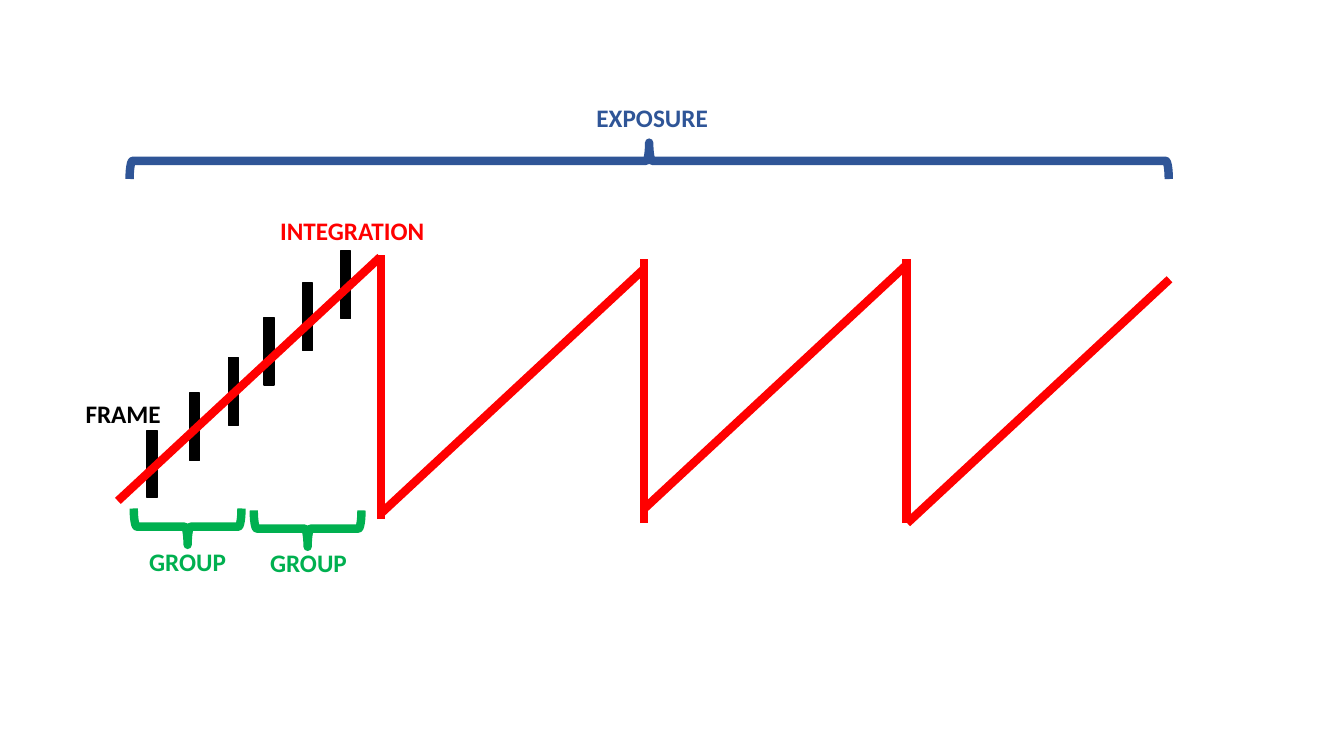
from lxml.etree import SubElement
from pptx import Presentation
from pptx.dml.color import RGBColor
from pptx.enum.shapes import MSO_CONNECTOR as CONN, MSO_SHAPE as SHAPE
from pptx.oxml.ns import qn
from pptx.util import Pt

COLORS = {"frame": "000000", "group": "00B050", "integration": "FF0000", "exposure": "2F5597"}
LINE_WIDTH = 6

prs = Presentation()
prs.slide_width, prs.slide_height = Pt(960), Pt(540)
s = prs.slides.add_slide(prs.slide_layouts[6])


def set_line(sp, color, width):
    sp.line.color.rgb = RGBColor.from_string(COLORS[color])
    sp.line.width = Pt(width)


frames = [(105.1, 307.4), (135.4, 280.8), (163.4, 255.6),
          (188.6, 226.8), (216, 202.3), (243.4, 179.3)]
for left, top in frames:
    sp = s.shapes.add_shape(SHAPE.RECTANGLE, Pt(left), Pt(top), Pt(7.2), Pt(48.2))
    sp.shadow.inherit = False
    sp.fill.solid()
    sp.fill.fore_color.rgb = RGBColor.from_string(COLORS["frame"])
    set_line(sp, "frame", 1)

braces = [
    ("group", 121, 337.7, 77, 90),
    ("group", 206.7, 339.1, 77, 90),
    ("exposure", 450.7, -256.3, 742.3, 270),
]
for color, left, top, span, rotation in braces:
    sp = s.shapes.add_shape(SHAPE.RIGHT_BRACE, Pt(left), Pt(top), Pt(26), Pt(span))
    sp.rotation = rotation
    sp.shadow.inherit = False
    sp.fill.background()
    set_line(sp, color, LINE_WIDTH)

RAMP_WIDTH, RAMP_HEIGHT, RESET_HEIGHT = 187.4, 174.2, 188.6
ramps = [(84.2, 357.8), (272.4, 366.5), (459.9, 363.6), (648, 373.7)]
resets = [(272.2, 370.8), (460.1, 373.7), (647.5, 373.7)]
segments = [(x, y, x + RAMP_WIDTH, y - RAMP_HEIGHT) for x, y in ramps]
segments += [(x, y, x, y - RESET_HEIGHT) for x, y in resets]
for segment in segments:
    cn = s.shapes.add_connector(CONN.STRAIGHT, *map(Pt, segment))
    set_line(cn, "integration", LINE_WIDTH)
    SubElement(cn._element.spPr, qn("a:effectLst"))

labels = [
    ("GROUP", "group", 99.4, 386.6, 82),
    ("GROUP", "group", 185.8, 387.4, 86.4),
    ("FRAME", "frame", 54, 280.8, 92.9),
    ("INTEGRATION", "integration", 193, 150.5, 152.6),
    ("EXPOSURE", "exposure", 419, 69.8, 122.4),
]
for text, color, left, top, width in labels:
    tb = s.shapes.add_textbox(Pt(left), Pt(top), Pt(width), Pt(29))
    tf = tb.text_frame
    tf.word_wrap = True
    r = tf.paragraphs[0].add_run()
    r.text = text
    for name, value in {"name": "Calibri", "size": Pt(18), "bold": True}.items():
        setattr(r.font, name, value)
    r.font.color.rgb = RGBColor.from_string(COLORS[color])

prs.save("out.pptx")
